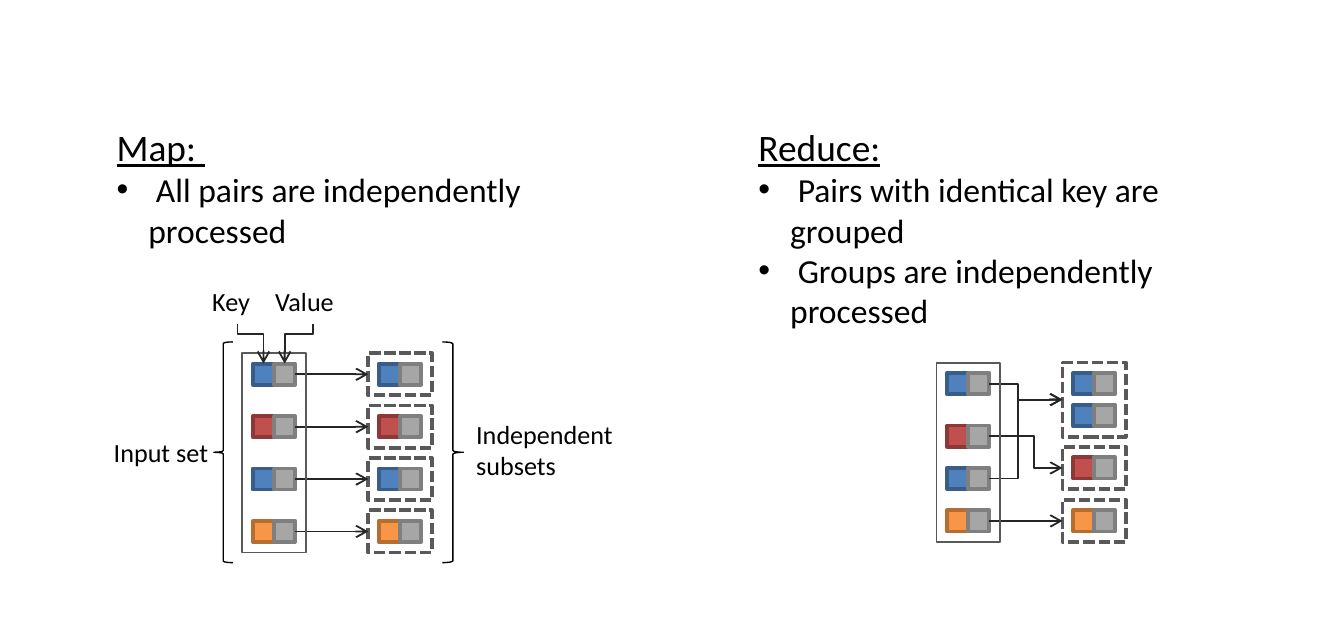
from dataclasses import dataclass
from typing import NamedTuple

from pptx import Presentation
from pptx.dml.color import RGBColor as Rgb
from pptx.enum.dml import MSO_LINE as Dash
from pptx.enum.shapes import MSO_CONNECTOR as Link, MSO_SHAPE as Preset
from pptx.enum.text import MSO_ANCHOR as Anchor, MSO_AUTO_SIZE as AutoSize
from pptx.oxml.ns import qn
from pptx.util import Cm, Pt
from lxml.etree import SubElement


class Ink(NamedTuple):
    fill: str
    edge: str


@dataclass(frozen=True)
class Theme:
    font: str = "Calibri"
    text: str = "000000"
    arrow: str = "262626"
    frame: str = "595959"
    blue: Ink = Ink("4F81BD", "385D8A")
    red: Ink = Ink("C0504D", "8C3836")
    orange: Ink = Ink("F79646", "B66D31")
    grey: Ink = Ink("A6A6A6", "7F7F7F")
    heading: int = 20
    bullet: int = 18
    label: int = 14


class Area(NamedTuple):
    """Position and size in centimetres."""
    left: float
    top: float
    width: float
    height: float

    def lengths(self) -> list:
        return [Cm(value) for value in self]


class Pair(NamedTuple):
    left: float
    top: float
    key: Ink


class Label(NamedTuple):
    text: str
    area: Area


class Topic(NamedTuple):
    heading: str
    bullets: tuple
    area: Area


class Arrow(NamedTuple):
    start: tuple
    end: tuple
    bend: float = 0  # share of the way to the bend; 0 is a straight arrow
    upright: bool = False  # leaves and arrives vertically


THEME = Theme()
INCH = 2.54  # centimetres
CELL = 0.4  # side of a key or value square
PAD = 0.2  # gap between a pair and its frame
FRAME = 2 * (CELL + PAD)
KEYS = (THEME.blue, THEME.red, THEME.blue, THEME.orange)

# Map diagram
MAP_IN, MAP_OUT = 4.78, 7.16
MAP_TOPS = [6.87 + 0.99 * row for row in range(4)]

# Reduce diagram
REDUCE_IN, REDUCE_OUT = 17.9, 20.28
REDUCE_TOPS = (7.05, 8.04, 8.84, 9.64)
GROUPS = ((THEME.blue, (7.05, 7.65)), (THEME.red, (8.64,)), (THEME.orange, (9.64,)))
ROUTES = ((0, 0, 0.386), (1, 1, 0.61), (2, 0, 0.386), (3, 2, 0))  # pair, group, bend

TOPICS = (
    Topic("Map: ", (" All pairs are independently processed",),
          Area(1.95, 2.22, 10.57, 1.88)),
    Topic("Reduce:", (" Pairs with identical key are grouped",
                      " Groups are independently processed"),
          Area(14.08, 2.22, 10.3, 2.64)),
)
LABELS = (
    Label("Input set", Area(1.9, 8.12, 3.38, 0.86)),
    Label("Independent subsets", Area(8.75, 7.78, 3.96, 1.45)),
    Label("Key", Area(3.76, 5.27, 1.47, 0.86)),
    Label("Value", Area(4.95, 5.27, 1.96, 0.86)),
)
BRACES = (
    (Preset.LEFT_BRACE, Area(4.04, 6.46, 0.36, 4.17)),
    (Preset.RIGHT_BRACE, Area(8.36, 6.46, 0.4, 4.17)),
)


def draw_shape(shapes, preset, area: Area, line: str, weight: float,
               fill: str = "", dash=None) -> None:
    shape = shapes.add_shape(preset, *area.lengths())
    shape.shadow.inherit = False
    if fill:
        shape.fill.solid()
        shape.fill.fore_color.rgb = Rgb.from_string(fill)
    else:
        shape.fill.background()
    shape.line.color.rgb = Rgb.from_string(line)
    shape.line.width = Pt(weight)
    if dash:
        shape.line.dash_style = dash


def draw_pair(shapes, pair: Pair) -> None:
    group = shapes.add_group_shape()
    for column, ink in enumerate((pair.key, THEME.grey)):
        area = Area(pair.left + column * CELL, pair.top, CELL, CELL)
        draw_shape(group.shapes, Preset.RECTANGLE, area, ink.edge, 2, ink.fill)


def draw_frame(shapes, left: float, tops, dashed: bool) -> None:
    """Frame the pairs that stand at the given tops."""
    height = tops[-1] - tops[0] + CELL + 2 * PAD
    area = Area(left - PAD, tops[0] - PAD, FRAME, height)
    draw_shape(shapes, Preset.RECTANGLE, area, THEME.frame,
               2 if dashed else 1, dash=Dash.SQUARE_DOT if dashed else None)


def draw_arrow(shapes, arrow: Arrow) -> None:
    (x1, y1), (x2, y2) = arrow.start, arrow.end
    ends = (x1, y1, x2, y2)
    if arrow.upright:  # lay the box on its side, then turn it around its centre
        mid_x, mid_y = (x1 + x2) / 2, (y1 + y2) / 2
        half_w, half_h = abs(y2 - y1) / 2, abs(x2 - x1) / 2
        ends = (mid_x - half_w, mid_y - half_h, mid_x + half_w, mid_y + half_h)
    kind = Link.ELBOW if arrow.bend else Link.STRAIGHT
    connector = shapes.add_connector(kind, *(Cm(value) for value in ends))
    connector.line.color.rgb = Rgb.from_string(THEME.arrow)
    connector.line.width = Pt(1)
    properties = connector._element.spPr
    if arrow.upright:
        turn = {"rot": "16200000", "flipH": "1"} if x1 < x2 else {"rot": "5400000"}
        for name, value in turn.items():
            properties.find(qn("a:xfrm")).set(name, value)
    if arrow.bend:
        adjusts = properties.find(qn("a:prstGeom")).get_or_add_avLst()
        SubElement(adjusts, qn("a:gd"), name="adj1",
                   fmla=f"val {round(arrow.bend * 100000)}")
    SubElement(connector.line._get_or_add_ln(), qn("a:tailEnd"), type="arrow")
    SubElement(properties, qn("a:effectLst"))


def format_text(para, size: int, underline: bool = False) -> None:
    formats = {"name": THEME.font, "size": Pt(size), "underline": underline}
    for span in para.runs:
        for name, value in formats.items():
            setattr(span.font, name, value)
        span.font.color.rgb = Rgb.from_string(THEME.text)


def write_label(shapes, label: Label) -> None:
    box = shapes.add_textbox(*label.area.lengths())
    box.text_frame.word_wrap = True
    box.text_frame.text = label.text
    format_text(box.text_frame.paragraphs[0], THEME.label)


def write_topic(box, topic: Topic) -> None:
    for name, value in zip(Area._fields, topic.area.lengths()):
        setattr(box, name, value)
    frame = box.text_frame
    settings = {"word_wrap": True, "auto_size": AutoSize.NONE,
                "vertical_anchor": Anchor.TOP}
    for name, value in settings.items():
        setattr(frame, name, value)
    frame.text = "\n".join((topic.heading, *topic.bullets))
    for index, para in enumerate(frame.paragraphs):
        is_heading = index == 0
        hang = 0 if is_heading else Cm(0.6)
        details = para._p.get_or_add_pPr()
        details.set("marL", str(hang))
        details.set("indent", str(-hang))
        if is_heading:
            SubElement(details, qn("a:buNone"))
        else:
            SubElement(details, qn("a:buChar"), char="•")
        para.space_before = Pt(0)
        format_text(para, THEME.heading if is_heading else THEME.bullet, is_heading)


def draw_map(shapes) -> None:
    for key, top in zip(KEYS, MAP_TOPS):
        for left in (MAP_IN, MAP_OUT):
            draw_pair(shapes, Pair(left, top, key))
        draw_frame(shapes, MAP_OUT, [top], dashed=True)
        middle = top + CELL / 2
        draw_arrow(shapes, Arrow((MAP_IN + 2 * CELL, middle), (MAP_OUT - PAD, middle)))
    draw_frame(shapes, MAP_IN, MAP_TOPS, dashed=False)
    for preset, area in BRACES:
        draw_shape(shapes, preset, area, THEME.text, 0.75)
    # Pointers from the words to the first key and value
    for column, start in enumerate((4.49, 5.92)):
        target = (MAP_IN + (column + 0.5) * CELL, MAP_TOPS[0])
        draw_arrow(shapes, Arrow((start, 6.12), target, 0.25, True))


def draw_reduce(shapes) -> None:
    for key, top in zip(KEYS, REDUCE_TOPS):
        draw_pair(shapes, Pair(REDUCE_IN, top, key))
    for key, tops in GROUPS:
        for top in tops:
            draw_pair(shapes, Pair(REDUCE_OUT, top, key))
        draw_frame(shapes, REDUCE_OUT, tops, dashed=True)
    for source, target, bend in ROUTES:
        tops = GROUPS[target][1]
        start = (REDUCE_IN + 2 * CELL, REDUCE_TOPS[source] + CELL / 2)
        end = (REDUCE_OUT - PAD, (tops[0] + tops[-1] + CELL) / 2)
        draw_arrow(shapes, Arrow(start, end, bend))
    draw_frame(shapes, REDUCE_IN, REDUCE_TOPS, dashed=False)


def main() -> None:
    deck = Presentation()
    deck.slide_width, deck.slide_height = Cm(10 * INCH), Cm(4.73 * INCH)
    page = deck.slides.add_slide(deck.slide_layouts.get_by_name("Two Content"))
    title, *boxes = page.placeholders
    title._element.getparent().remove(title._element)
    draw_map(page.shapes)
    draw_reduce(page.shapes)
    for label in LABELS:
        write_label(page.shapes, label)
    for box, topic in zip(boxes, TOPICS):
        write_topic(box, topic)
    deck.save("out.pptx")


if __name__ == "__main__":
    main()
